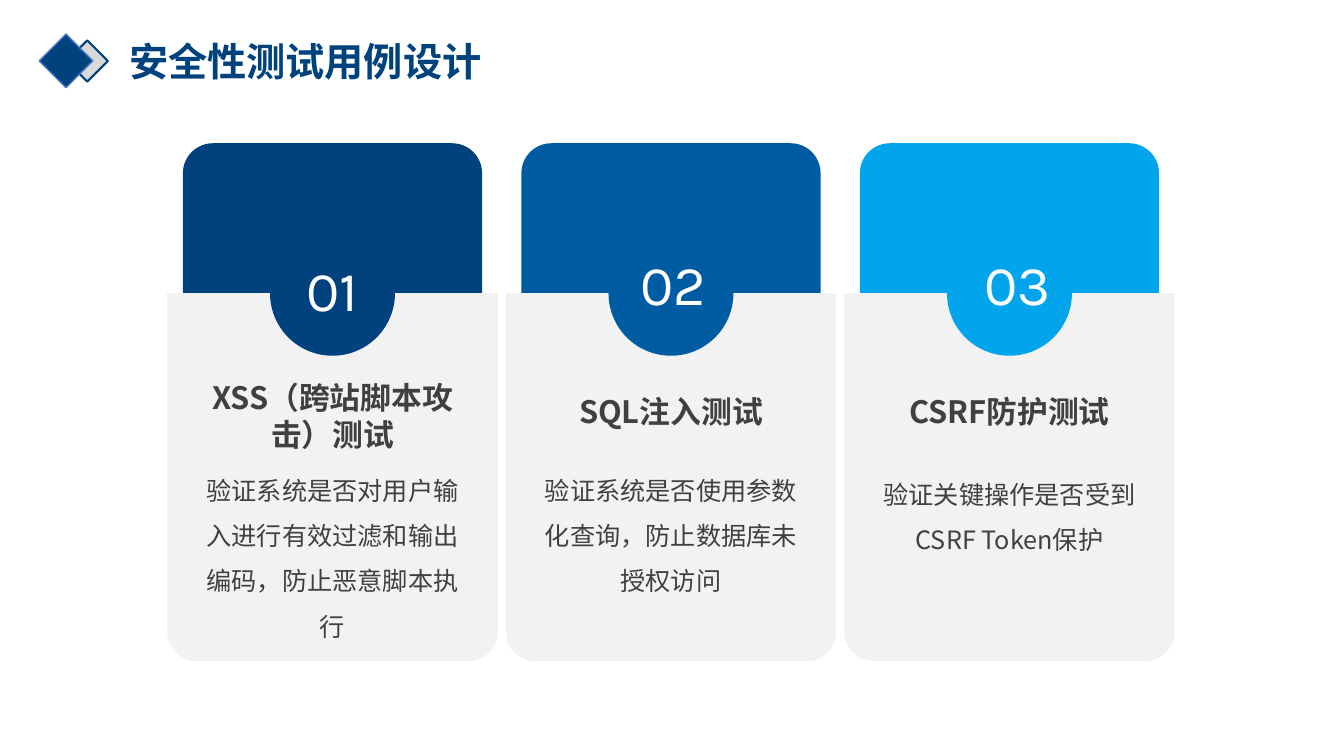
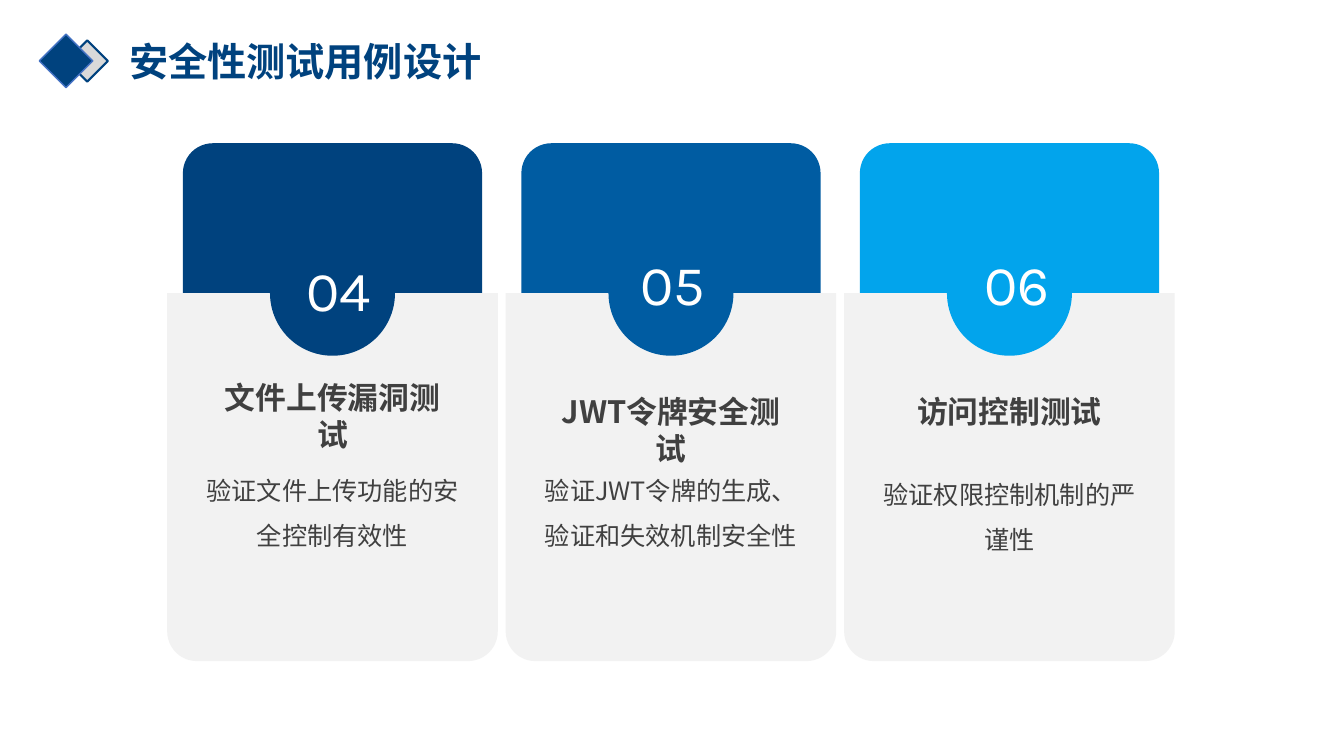
from dataclasses import dataclass

from lxml import etree
from pptx import Presentation
from pptx import util as u
from pptx.dml.color import RGBColor
from pptx.enum import shapes, text
from pptx.oxml import ns

Cm, Pt = u.Cm, u.Pt
SHAPE = shapes.MSO_SHAPE
ALIGN = text.PP_ALIGN

NAVY = RGBColor(0x00, 0x42, 0x7E)
BLUE = RGBColor(0x00, 0x5C, 0xA2)
SKY = RGBColor(0x02, 0xA4, 0xEC)
OUTLINE = RGBColor(0x44, 0x72, 0xC4)
SILVER = RGBColor(0xD9, 0xD9, 0xD9)
PANEL = RGBColor(0xF2, 0xF2, 0xF2)
DARK = RGBColor(0x40, 0x40, 0x40)
WHITE = RGBColor(0xFF, 0xFF, 0xFF)

CJK_FONT = "Noto Sans CJK SC"
NUMBER_FONT = "Karla"

# Card grid, in centimetres
FIRST_CENTER, PITCH = 8.38, 8.53
SEAM = 7.39  # where the coloured tab meets the grey panel
TAB_TOP, TAB_WIDTH, TAB_HEIGHT = 3.61, 7.54, 9.4
PANEL_WIDTH, PANEL_HEIGHT = 8.33, 9.27
BADGE = 3.15
HEADING_WIDTH, BODY_WIDTH, NUMBER_WIDTH = 6.63, 7.14, 2.77


@dataclass
class Column:
    color: RGBColor
    number_shift: float  # from the column's centre to the number box
    number_top: float
    heading_top: float
    heading_height: float
    body_top: float


COLUMNS = [
    Column(NAVY, -0.91, 6.32, 9.42, 2.13, 11.46),
    Column(BLUE, -1.03, 6.17, 9.78, 1.19, 11.46),
    Column(SKY, -0.88, 6.17, 9.78, 1.19, 11.56),
]

TITLE = "安全性测试用例设计"

# Per slide: number, heading, body, lines of body
SLIDES = [
    [
        ("01", "XSS（跨站脚本攻击）测试",
         "验证系统是否对用户输入进行有效过滤和输出编码，防止恶意脚本执行", 4),
        ("02", "SQL注入测试",
         "验证系统是否使用参数化查询，防止数据库未授权访问", 3),
        ("03", "CSRF防护测试", "验证关键操作是否受到CSRF Token保护", 2),
    ],
    [
        ("04", "文件上传漏洞测试", "验证文件上传功能的安全控制有效性", 2),
        ("05", "JWT令牌安全测试", "验证JWT令牌的生成、验证和失效机制安全性", 2),
        ("06", "访问控制测试", "验证权限控制机制的严谨性", 2),
    ],
]


class CardDeck:
    """Holds the deck, its style and the slide being filled."""

    def __init__(self):
        self.deck = Presentation()
        self.deck.slide_width = Cm(33.87)
        self.deck.slide_height = Cm(19.05)
        self.page = None

    def new_page(self, title):
        self.page = self.deck.slides.add_slide(self.deck.slide_layouts[5])
        self.emblem()
        self.title(title)

    def shape(self, kind, left, top, width, height, fill, line=None,
              line_width=1, adjust=(), parent=None):
        parent = parent or self.page.shapes
        shape = parent.add_shape(kind, Cm(left), Cm(top), Cm(width), Cm(height))
        shape.shadow.inherit = False
        shape.fill.solid()
        shape.fill.fore_color.rgb = fill
        if line is None:
            shape.line.fill.background()
        else:
            shape.line.color.rgb = line
            shape.line.width = Pt(line_width)
        for index, value in enumerate(adjust):
            shape.adjustments[index] = value
        return shape

    def set_words(self, frame, words, size, color, font=CJK_FONT, bold=False,
                  align=ALIGN.LEFT, spacing=1.0):
        frame.word_wrap = True
        frame.text = words
        para = frame.paragraphs[0]
        para.alignment = align
        para.line_spacing = spacing
        span = para.runs[0]
        span.font.size = Pt(size)
        span.font.bold = bold
        span.font.color.rgb = color
        span.font.name = font
        east_asian = etree.SubElement(span.font._element, ns.qn("a:ea"))
        east_asian.set("typeface", font)

    def label(self, words, left, top, width, height, size, color, **style):
        box = self.page.shapes.add_textbox(
            Cm(left), Cm(top), Cm(width), Cm(height))
        self.set_words(box.text_frame, words, size, color, **style)
        box.text_frame.auto_size = text.MSO_AUTO_SIZE.SHAPE_TO_FIT_TEXT

    def emblem(self):
        group = self.page.shapes.add_group_shape().shapes
        self.shape(SHAPE.DIAMOND, 1.68, 1.02, 1.04, 1.04, SILVER, NAVY, 1.5,
                   parent=group)
        self.shape(SHAPE.DIAMOND, 0.99, 0.86, 1.35, 1.35, NAVY, OUTLINE,
                   parent=group)

    def title(self, words):
        box = self.page.shapes.title
        box.left, box.top = Cm(3), Cm(0.99)
        box.width, box.height = Cm(15.8), Cm(1.22)
        frame = box.text_frame
        self.set_words(frame, words, 28, NAVY, bold=True, spacing=0.9)
        frame.vertical_anchor = text.MSO_ANCHOR.MIDDLE
        frame.auto_size = text.MSO_AUTO_SIZE.NONE

    def card(self, center, column, number, heading, body, lines):
        # Coloured tab, grey panel and round badge
        self.shape(SHAPE.ROUNDED_RECTANGLE, center - TAB_WIDTH / 2, TAB_TOP,
                   TAB_WIDTH, TAB_HEIGHT, column.color, adjust=[0.1])
        self.shape(SHAPE.ROUND_2_SAME_RECTANGLE, center - PANEL_WIDTH / 2, SEAM,
                   PANEL_WIDTH, PANEL_HEIGHT, PANEL, adjust=[0, 0.09])
        self.shape(SHAPE.OVAL, center - BADGE / 2, SEAM - BADGE / 2,
                   BADGE, BADGE, column.color)
        # Words
        self.label(heading, center - HEADING_WIDTH / 2, column.heading_top,
                   HEADING_WIDTH, column.heading_height, 22, DARK,
                   bold=True, align=ALIGN.CENTER)
        self.label(body, center - BODY_WIDTH / 2, column.body_top,
                   BODY_WIDTH, 0.25 + 1.16 * lines, 18, DARK,
                   align=ALIGN.CENTER, spacing=1.5)
        self.label(number, center + column.number_shift, column.number_top,
                   NUMBER_WIDTH, 1.96, 40, WHITE, font=NUMBER_FONT)


def main():
    cards = CardDeck()
    for slide_cards in SLIDES:
        cards.new_page(TITLE)
        for index, (column, content) in enumerate(zip(COLUMNS, slide_cards)):
            cards.card(FIRST_CENTER + index * PITCH, column, *content)
    cards.deck.save("out.pptx")


if __name__ == "__main__":
    main()
